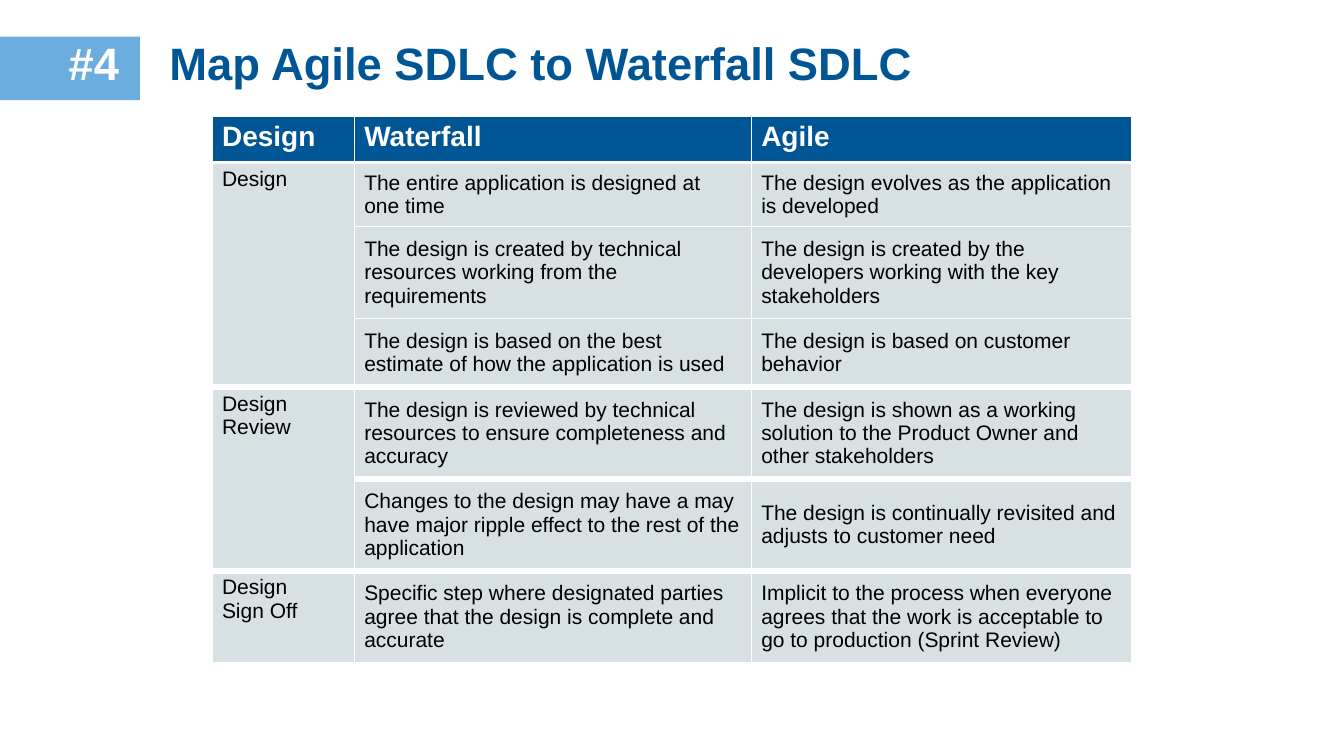
from dataclasses import dataclass

from lxml.etree import SubElement
from pptx import Presentation
from pptx.dml.color import RGBColor as Rgb
from pptx.enum.shapes import MSO_SHAPE as Shape
from pptx.enum.text import MSO_ANCHOR as Anchor, MSO_AUTO_SIZE as AutoSize, PP_ALIGN as Align
from pptx.oxml.ns import qn
from pptx.util import Pt


@dataclass(frozen=True)
class Theme:
    font: str = "Arial"
    white: str = "FFFFFF"
    black: str = "000000"
    navy: str = "005595"
    sky: str = "6CADDF"
    mist: str = "D7E1E3"
    title_size: float = 32.4
    header_size: float = 20
    body_size: float = 15
    thin: float = 1
    header_rule: float = 3
    group_rule: float = 4.5


class SlideBuilder:
    def __init__(self, deck, theme):
        self.theme = theme
        self.page = deck.slides.add_slide(deck.slide_layouts[5])

    def add_text(self, para, text, size, color, bold=False):
        """Add text run by run, with a line break at each newline."""
        for number, line in enumerate(text.split("\n")):
            if number:
                para.add_line_break()
            span = para.add_run()
            span.text = line
            span.font.name = self.theme.font
            span.font.size = Pt(size)
            span.font.bold = bold
            span.font.color.rgb = Rgb.from_string(color)

    def band(self, left, top, width, height, color):
        box = self.page.shapes.add_shape(
            Shape.RECTANGLE, Pt(left), Pt(top), Pt(width), Pt(height))
        box.shadow.inherit = False
        box.fill.solid()
        box.fill.fore_color.rgb = Rgb.from_string(color)
        box.line.fill.background()

    def title(self, left, top, width, height, parts):
        box = self.page.shapes.title
        box.left, box.top, box.width, box.height = map(Pt, (left, top, width, height))
        # Bring the title in front of the band
        box.element.getparent().append(box.element)
        frame = box.text_frame
        frame.auto_size = AutoSize.NONE
        frame.word_wrap = True
        frame.vertical_anchor = Anchor.TOP
        para = frame.paragraphs[0]
        para.alignment = Align.LEFT
        para.line_spacing = 0.9
        for text, color in parts:
            self.add_text(para, text, self.theme.title_size, color, bold=True)

    def borders(self, cell, above, below):
        props = cell._tc.get_or_add_tcPr()
        thin = self.theme.thin
        for side, weight in zip("LRTB", (thin, thin, above, below)):
            line = SubElement(props, qn(f"a:ln{side}"), w=str(Pt(weight)))
            fill = SubElement(line, qn("a:solidFill"))
            SubElement(fill, qn("a:srgbClr"), val=self.theme.white)

    def table(self, left, top, widths, heights, rows, rules):
        """rules holds the weight of each horizontal line, top to bottom."""
        theme = self.theme
        frame = self.page.shapes.add_table(
            len(rows), len(widths), Pt(left), Pt(top), Pt(sum(widths)), Pt(sum(heights)))
        grid = frame.table
        grid.first_row = grid.horz_banding = False
        for column, width in zip(grid.columns, widths):
            column.width = Pt(width)
        for row, height in zip(grid.rows, heights):
            row.height = Pt(height)

        # First-column labels span the unlabelled rows below them
        starts = [r for r, texts in enumerate(rows) if texts[0]]
        label_end = dict(zip(starts, starts[1:] + [len(rows)]))

        # Cells
        for r, texts in enumerate(rows):
            header = r == 0
            for c, text in enumerate(texts):
                cell = grid.cell(r, c)
                end = label_end.get(r, r + 1) if c == 0 else r + 1
                self.borders(cell, rules[r], rules[end])
                cell.fill.solid()
                cell.fill.fore_color.rgb = Rgb.from_string(theme.navy if header else theme.mist)
                cell.vertical_anchor = Anchor.TOP if header or c == 0 else Anchor.MIDDLE
                if text:
                    self.add_text(cell.text_frame.paragraphs[0], text,
                                  theme.header_size if header else theme.body_size,
                                  theme.white if header else theme.black, header)

        for start, end in label_end.items():
            if end - start > 1:
                grid.cell(start, 0).merge(grid.cell(end - 1, 0))


ROWS = [
    ("Design", "Waterfall", "Agile"),
    ("Design", "The entire application is designed at one time",
     "The design evolves as the application is developed"),
    ("", "The design is created by technical resources working from the requirements",
     "The design is created by the developers working with the key stakeholders"),
    ("", "The design is based on the best estimate of how the application is used",
     "The design is based on customer behavior"),
    ("Design Review",
     "The design is reviewed by technical resources to ensure completeness and accuracy",
     "The design is shown as a working solution to the Product Owner and other stakeholders"),
    ("", "Changes to the design may have a may have major ripple effect to the rest of "
     "the application",
     "The design is continually revisited and adjusts to customer need"),
    ("Design \nSign Off",
     "Specific step where designated parties agree that the design is complete and accurate",
     "Implicit to the process when everyone agrees that the work is acceptable to go to "
     "production (Sprint Review)"),
]


def main():
    theme = Theme()
    deck = Presentation()
    deck.slide_width, deck.slide_height = Pt(960), Pt(540)
    slide = SlideBuilder(deck, theme)

    # Number band and title
    slide.band(0, 26.2, 100, 45.4, theme.sky)
    slide.title(41.8, 26.2, 876, 57,
                [("#4", theme.white), ("\tMap Agile SDLC to Waterfall SDLC", theme.navy)])

    # Comparison table
    thin, group = theme.thin, theme.group_rule
    slide.table(151.4, 83, widths=(101.6, 283.6, 272),
                heights=(33, 46, 65.6, 49, 65.6, 65.6, 65.6), rows=ROWS,
                rules=(thin, theme.header_rule, thin, thin, group, group, group, thin))

    deck.save("out.pptx")


if __name__ == "__main__":
    main()
